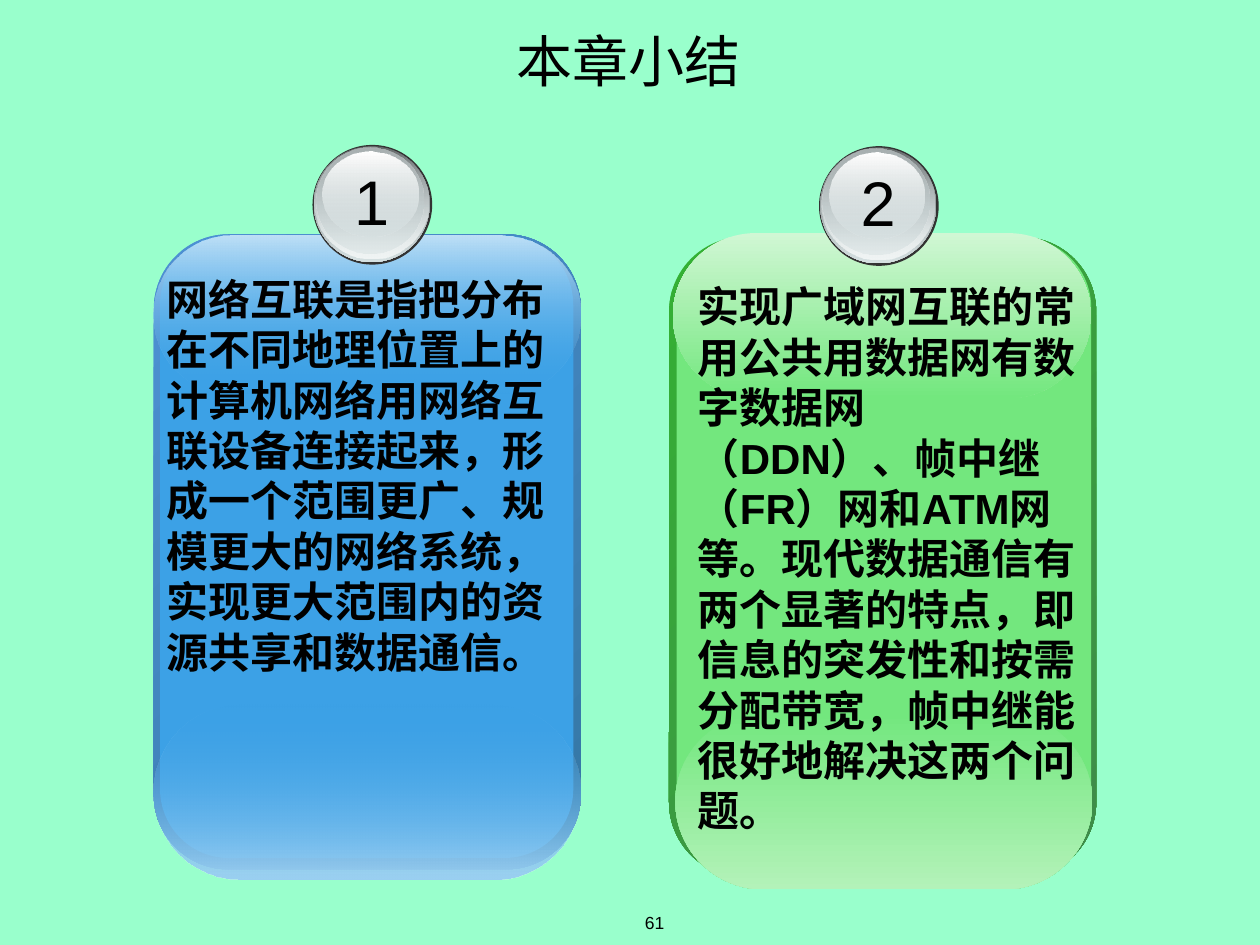
from dataclasses import dataclass

from lxml.etree import SubElement
from pptx import Presentation
from pptx.dml.color import RGBColor as RGB
from pptx.enum.lang import MSO_LANGUAGE_ID as Lang
from pptx.enum.shapes import MSO_SHAPE as Kind
from pptx.enum.text import MSO_ANCHOR as Anchor, MSO_AUTO_SIZE as Fit, PP_ALIGN as Align
from pptx.oxml.ns import qn
from pptx.util import Inches, Pt

Box = tuple[float, float, float, float]


@dataclass(frozen=True)
class Theme:
    back: str = "99FFCC"
    ink: str = "000000"
    latin: str = "Arial"
    asian: str = "Noto Sans CJK SC"
    title: int = 32
    body: int = 24
    badge: int = 36
    page: int = 10


@dataclass(frozen=True)
class Fade:
    """Two-colour gradient; opacity in percent, angle clockwise."""
    start: str
    end: str
    angle: int = 90
    alphas: tuple[int, int] = (100, 100)


@dataclass(frozen=True)
class Layer:
    box: Box
    fill: str | Fade
    round: float = 0.5


@dataclass(frozen=True)
class Card:
    layers: tuple[Layer, ...]
    area: Box
    text: str


@dataclass(frozen=True)
class Badge:
    left: float
    top: float
    label: str


THEME = Theme()

CARDS = (
    Card((
        Layer((1.22, 1.86, 3.39, 5.04), Fade("4E91D4", "3477A4", 45), 0.175),
        Layer((1.27, 1.87, 3.28, 4.94), "3CA1E6", 0.167),
        Layer((1.22, 5.59, 3.39, 1.39), Fade("3CA1E6", "9BCFF2", alphas=(0, 100))),
        Layer((1.22, 1.87, 3.39, 1.25), Fade("BEE0F7", "3CA1E6", alphas=(100, 0))),
    ), (1.22, 2.12, 3.39, 3.3),
        "网络互联是指把分布在不同地理位置上的计算机网络用网络互联设备连接起来，"
        "形成一个范围更广、规模更大的网络系统，实现更大范围内的资源共享和数据通信。"),
    Card((
        Layer((5.31, 1.88, 3.39, 5.08), Fade("34B034", "3F8B4A", 45), 0.175),
        Layer((5.37, 1.89, 3.29, 4.98), "73E77E", 0.167),
        Layer((5.36, 5.66, 3.31, 1.4), Fade("73E77E", "B3F2B9")),
        Layer((5.34, 1.85, 3.32, 1.31), Fade("D0F7D4", "73E77E")),
    ), (5.44, 2.18, 3.21, 4.1),
        "实现广域网互联的常用公共用数据网有数字数据网（DDN）、帧中继（FR）网和ATM网等。"
        "现代数据通信有两个显著的特点，即信息的突发性和按需分配带宽，"
        "帧中继能很好地解决这两个问题。"),
)

# Badge discs, placed relative to the badge corner
DISCS = (
    Layer((0, 0, 0.95, 0.95), "333333"),
    Layer((0.01, 0.01, 0.92, 0.92), Fade("636869", "D6E1E2")),
    Layer((0.02, 0.01, 0.9, 0.89), Fade("D6E1E2", "F1F5F5", alphas=(0, 100))),
    Layer((0.03, 0.02, 0.85, 0.84), Fade("AAB2B3", "D6E1E2", alphas=(100, 48))),
    Layer((0.08, 0.05, 0.76, 0.68), Fade("FFFFFF", "D6E1E2", alphas=(100, 38))),
)
BADGES = (Badge(6.5, 1.16, "2"), Badge(2.48, 1.15, "1"))


def paint(shape, fill: str | Fade) -> None:
    if isinstance(fill, str):
        shape.fill.solid()
        shape.fill.fore_color.rgb = RGB.from_string(fill)
        return
    shape.fill.gradient()
    shape.fill.gradient_angle = -fill.angle % 360
    for stop, tone in zip(shape.fill.gradient_stops, (fill.start, fill.end)):
        stop.color.rgb = RGB.from_string(tone)
    tones = shape._element.spPr.iter(qn("a:srgbClr"))
    for tone, alpha in zip(tones, fill.alphas):
        if alpha < 100:
            SubElement(tone, qn("a:alpha")).set("val", str(alpha * 1000))


def draw(shapes, layer: Layer, kind: Kind, left: float = 0, top: float = 0) -> None:
    x, y, wide, high = layer.box
    shape = shapes.add_shape(kind, Inches(left + x), Inches(top + y), Inches(wide), Inches(high))
    if kind == Kind.ROUNDED_RECTANGLE:
        shape.adjustments[0] = layer.round
    shape.shadow.inherit = False
    shape.line.fill.background()
    paint(shape, layer.fill)


def write(shapes, box: Box, text: str, size: int, align: Align = Align.CENTER,
          bold: bool = False, anchor: Anchor = Anchor.TOP, wrap: bool = True,
          fit: Fit = Fit.NONE, latin: str = THEME.latin) -> None:
    frame = shapes.add_textbox(*map(Inches, box)).text_frame
    frame.word_wrap = wrap
    frame.auto_size = fit
    frame.vertical_anchor = anchor
    para = frame.paragraphs[0]
    para.alignment = align
    # Keep punctuation inside the right margin
    para._p.get_or_add_pPr().set("hangingPunct", "0")
    run = para.add_run()
    run.text = text
    font = run.font
    font.size, font.bold, font.name = Pt(size), bold, latin
    font.color.rgb = RGB.from_string(THEME.ink)
    font.language_id = Lang.SIMPLIFIED_CHINESE
    SubElement(run._r.get_or_add_rPr(), qn("a:ea")).set("typeface", THEME.asian)


def add_card(shapes, card: Card) -> None:
    group = shapes.add_group_shape().shapes
    for layer in card.layers:
        draw(group, layer, Kind.ROUNDED_RECTANGLE)
    write(group, card.area, card.text, THEME.body, Align.LEFT, bold=True, fit=Fit.SHAPE_TO_FIT_TEXT)


def add_badge(shapes, badge: Badge) -> None:
    group = shapes.add_group_shape().shapes
    for disc in DISCS:
        draw(group, disc, Kind.OVAL, badge.left, badge.top)
    write(group, (badge.left, badge.top + 0.09, 0.94, 0.7), badge.label, THEME.badge,
          fit=Fit.SHAPE_TO_FIT_TEXT)


def main() -> None:
    deck = Presentation()
    deck.slide_width, deck.slide_height = Inches(10), Inches(7.5)
    slide = deck.slides.add_slide(deck.slide_layouts[6])
    paint(slide.background, THEME.back)
    shapes = slide.shapes

    # Page number and title
    write(shapes, (4.13, 7.14, 2.13, 0.36), "61", THEME.page, anchor=Anchor.MIDDLE, wrap=False)
    write(shapes, (0, 0.17, 9.98, 0.62), "本章小结", THEME.title, anchor=Anchor.MIDDLE,
          latin=THEME.asian)

    # Cards, then the numbered badges over their top edges
    for card in CARDS:
        add_card(shapes, card)
    for badge in BADGES:
        add_badge(shapes, badge)
    deck.save("out.pptx")


if __name__ == "__main__":
    main()
